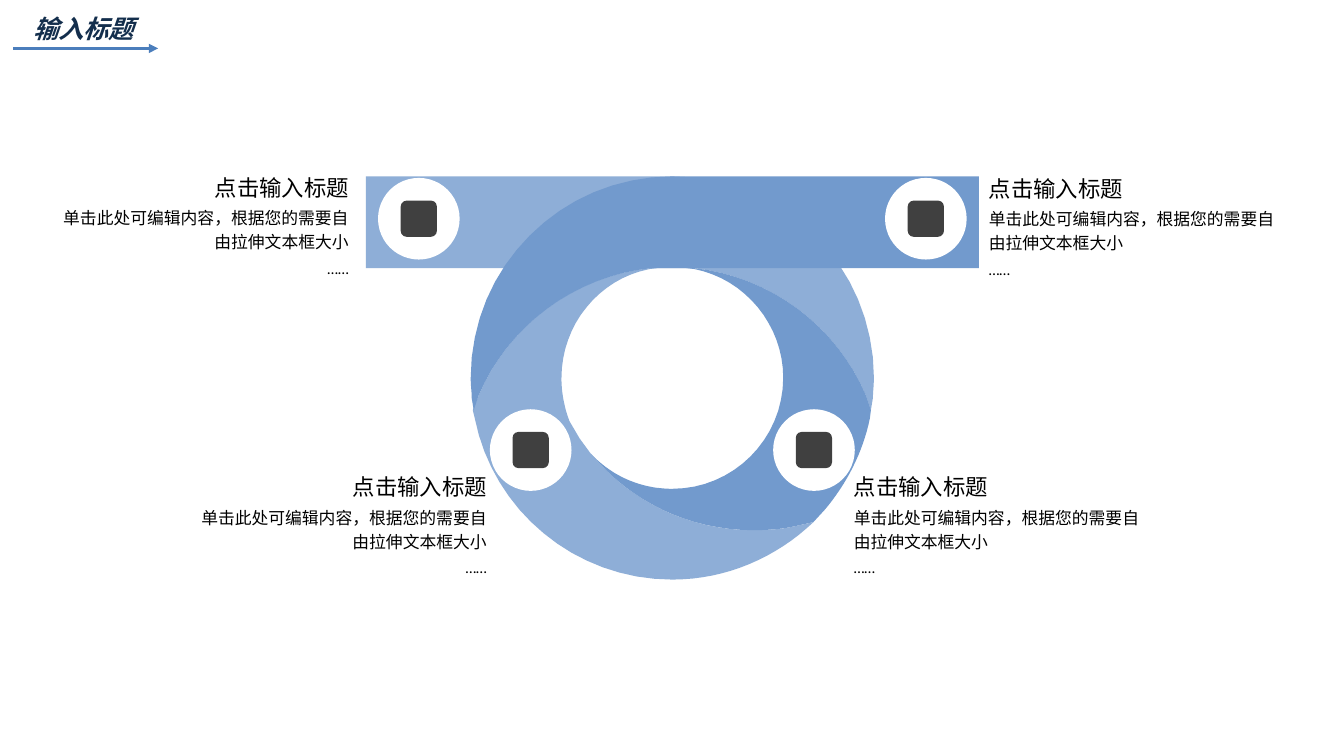
from dataclasses import dataclass

import pptx
import pptx.dml.color
import pptx.enum.shapes
import pptx.enum.text
import pptx.oxml.ns
import pptx.oxml.xmlchemy
import pptx.util
from pptx.enum.text import PP_ALIGN

# Grid of square cells, ten to the inch
COLUMNS, ROWS = 133.33, 75
CELL = 91440
FINE = 100  # outline units per cell
CURVE_STEPS = 16
CENTRE = 66.7  # column of the ring's axis

FONT = "Calibri"
BLUE, WHITE, DARK, BLACK = "729ACD", "FFFFFF", "404040", "000000"
NAVY, ARROW_BLUE = "132E4C", "4B7EBC"
BADGE_SIZE, ICON_SIZE = 8.1, 3.6
TEXT_WIDTH, TEXT_HEIGHT = 28.7, 11.1

# A pair is a corner; six numbers are a Bézier curve
Outline = list[tuple[float, ...]]


@dataclass
class Band:
    outline: Outline
    opacity: int = 100


@dataclass
class Item:
    badge_column: float
    badge_row: float
    text_column: float
    text_row: float
    alignment: PP_ALIGN


def mirror(outline: Outline) -> Outline:
    return [tuple(round(2 * CENTRE - value, 2) if index % 2 == 0 else value
                  for index, value in enumerate(step)) for step in outline]


ARM: Outline = [
    (36.3, 17.5), (66.7, 17.5),
    (77.75, 17.5, 86.7, 26.45, 86.7, 37.5),
    (86.7, 38.2, 86.6, 38.9, 86.6, 39.5),
    (86.4, 40.7), (85.9, 39.2),
    (83, 32.4, 76.5, 27.4, 68.8, 26.6),
    (36.3, 26.6),
]
RIGHT_SWEEP: Outline = [
    (68.1, 26.6), (68.8, 26.6),
    (76.5, 27.4, 83, 32.4, 85.9, 39.2),
    (86.4, 40.7), (86.3, 41.5),
    (85.6, 44.9, 84, 48, 81.8, 50.6),
    (80.7, 51.8), (78.9, 52.2),
    (77.6, 52.5, 76.2, 52.6, 74.7, 52.6),
    (68.3, 52.6, 62.5, 49.7, 58.7, 45.1),
    (58.6, 45), (58.9, 45.3),
    (60.9, 47.3, 63.6, 48.5, 66.7, 48.5),
    (72.7, 48.5, 77.7, 43.6, 77.7, 37.5),
    (77.7, 32.2, 73.9, 27.7, 68.9, 26.7),
]
LEFT_SWEEP: Outline = [
    (65.2, 26.6), (64.4, 26.7),
    (59.4, 27.7, 55.7, 32.2, 55.7, 37.5),
    (55.7, 39, 56, 40.5, 56.5, 41.8),
    (57.5, 43.5), (58.6, 45), (58.7, 45.1),
    (62.5, 49.7, 68.3, 52.6, 74.7, 52.6),
    (76.2, 52.6, 77.6, 52.5, 78.9, 52.2),
    (80.7, 51.8),
    (77, 55.3, 72.1, 57.5, 66.7, 57.5),
    (57, 57.5, 48.9, 50.6, 47.1, 41.5),
    (46.9, 40.7), (47.5, 39.2),
    (50.4, 32.4, 56.8, 27.4, 64.5, 26.6),
]
BANDS = [Band(ARM, 80), Band(RIGHT_SWEEP), Band(LEFT_SWEEP, 80), Band(mirror(ARM))]

ITEMS = [
    Item(CENTRE + 25.15, 21.7, 98.1, 16.8, PP_ALIGN.LEFT),
    Item(CENTRE + 14.05, 44.65, 84.7, 46.4, PP_ALIGN.LEFT),
    Item(CENTRE - 14.05, 44.65, 19.6, 46.4, PP_ALIGN.RIGHT),
    Item(CENTRE - 25.15, 21.7, 5.9, 16.7, PP_ALIGN.RIGHT),
]
ITEM_LINES = [
    ("点击输入标题", 16),
    ("单击此处可编辑内容，根据您的需要自由拉伸文本框大小", 12),
    ("……", 11),
]


def cells(count: float) -> pptx.util.Emu:
    return pptx.util.Emu(round(count * CELL))


def color(value: str) -> pptx.dml.color.RGBColor:
    return pptx.dml.color.RGBColor.from_string(value)


def paint(shape, fill: str) -> None:
    shape.shadow.inherit = False
    shape.fill.solid()
    shape.fill.fore_color.rgb = color(fill)
    shape.line.fill.background()


def add_run(paragraph, text: str, size: float, font_color: str):
    run = paragraph.add_run()
    run.text = text
    run.font.name = FONT
    run.font.size = pptx.util.Pt(size)
    run.font.color.rgb = color(font_color)
    return run


def flatten(outline: Outline) -> list[tuple[float, float]]:
    points = [outline[0]]
    for step in outline[1:]:
        if len(step) == 2:
            points.append(step)
            continue
        controls = [points[-1], step[0:2], step[2:4], step[4:6]]
        for index in range(1, CURVE_STEPS + 1):
            t = index / CURVE_STEPS
            weights = ((1 - t) ** 3, 3 * t * (1 - t) ** 2, 3 * t * t * (1 - t), t ** 3)
            points.append(tuple(sum(weight * control[axis] for weight, control in zip(weights, controls))
                                for axis in (0, 1)))
    return [(x * FINE, y * FINE) for x, y in points]


def draw_band(slide, band: Band) -> None:
    start, *rest = flatten(band.outline)
    builder = slide.shapes.build_freeform(*start, scale=CELL / FINE)
    builder.add_line_segments(rest, close=True)
    shape = builder.convert_to_shape()
    paint(shape, BLUE)
    if band.opacity < 100:
        fill_color = shape._element.spPr.find(".//" + pptx.oxml.ns.qn("a:srgbClr"))
        alpha = pptx.oxml.xmlchemy.OxmlElement("a:alpha")
        alpha.set("val", str(band.opacity * 1000))
        fill_color.append(alpha)


def draw_centred(slide, kind, column: float, row: float, size: float, fill: str) -> None:
    shape = slide.shapes.add_shape(kind, cells(column - size / 2), cells(row - size / 2),
                                   cells(size), cells(size))
    paint(shape, fill)


def draw_item(slide, item: Item) -> None:
    kinds = pptx.enum.shapes.MSO_SHAPE
    draw_centred(slide, kinds.OVAL, item.badge_column, item.badge_row, BADGE_SIZE, WHITE)
    draw_centred(slide, kinds.ROUNDED_RECTANGLE, item.badge_column, item.badge_row, ICON_SIZE, DARK)
    box = slide.shapes.add_textbox(cells(item.text_column), cells(item.text_row),
                                   cells(TEXT_WIDTH), cells(TEXT_HEIGHT))
    frame = box.text_frame
    frame.word_wrap = True
    frame.auto_size = pptx.enum.text.MSO_AUTO_SIZE.SHAPE_TO_FIT_TEXT
    frame.margin_left = frame.margin_right = frame.margin_top = frame.margin_bottom = 0
    for index, (text, size) in enumerate(ITEM_LINES):
        paragraph = frame.add_paragraph() if index else frame.paragraphs[0]
        paragraph.alignment = item.alignment
        paragraph.line_spacing = 1.2
        if index:
            paragraph.space_before = pptx.util.Pt(size * 0.2)
        add_run(paragraph, text, size, BLACK)


def draw_title(slide) -> None:
    title = slide.shapes.title
    title.left, title.top, title.width, title.height = map(cells, (2.3, 0.8, 13.4, 4))
    frame = title.text_frame
    frame.auto_size = pptx.enum.text.MSO_AUTO_SIZE.NONE
    frame.vertical_anchor = pptx.enum.text.MSO_ANCHOR.TOP
    paragraph = frame.paragraphs[0]
    paragraph.alignment = PP_ALIGN.LEFT
    run = add_run(paragraph, "输入标题", 18, NAVY)
    run.font.bold = run.font.italic = True

    # Arrow under the title
    arrow = slide.shapes.add_connector(pptx.enum.shapes.MSO_CONNECTOR.STRAIGHT,
                                       cells(1.3), cells(4.8), cells(15.7), cells(4.8))
    arrow.line.color.rgb = color(ARROW_BLUE)
    arrow.line.width = pptx.util.Pt(2.25)
    tail = pptx.oxml.xmlchemy.OxmlElement("a:tailEnd")
    tail.set("type", "triangle")
    arrow.line._get_or_add_ln().append(tail)
    arrow._element.spPr.append(pptx.oxml.xmlchemy.OxmlElement("a:effectLst"))


def main() -> None:
    presentation = pptx.Presentation()
    presentation.slide_width, presentation.slide_height = cells(COLUMNS), cells(ROWS)
    slide = presentation.slides.add_slide(presentation.slide_layouts[5])
    draw_title(slide)
    # Ribbon ring, then its four labelled badges
    for band in BANDS:
        draw_band(slide, band)
    for item in ITEMS:
        draw_item(slide, item)
    presentation.save("out.pptx")


if __name__ == "__main__":
    main()
